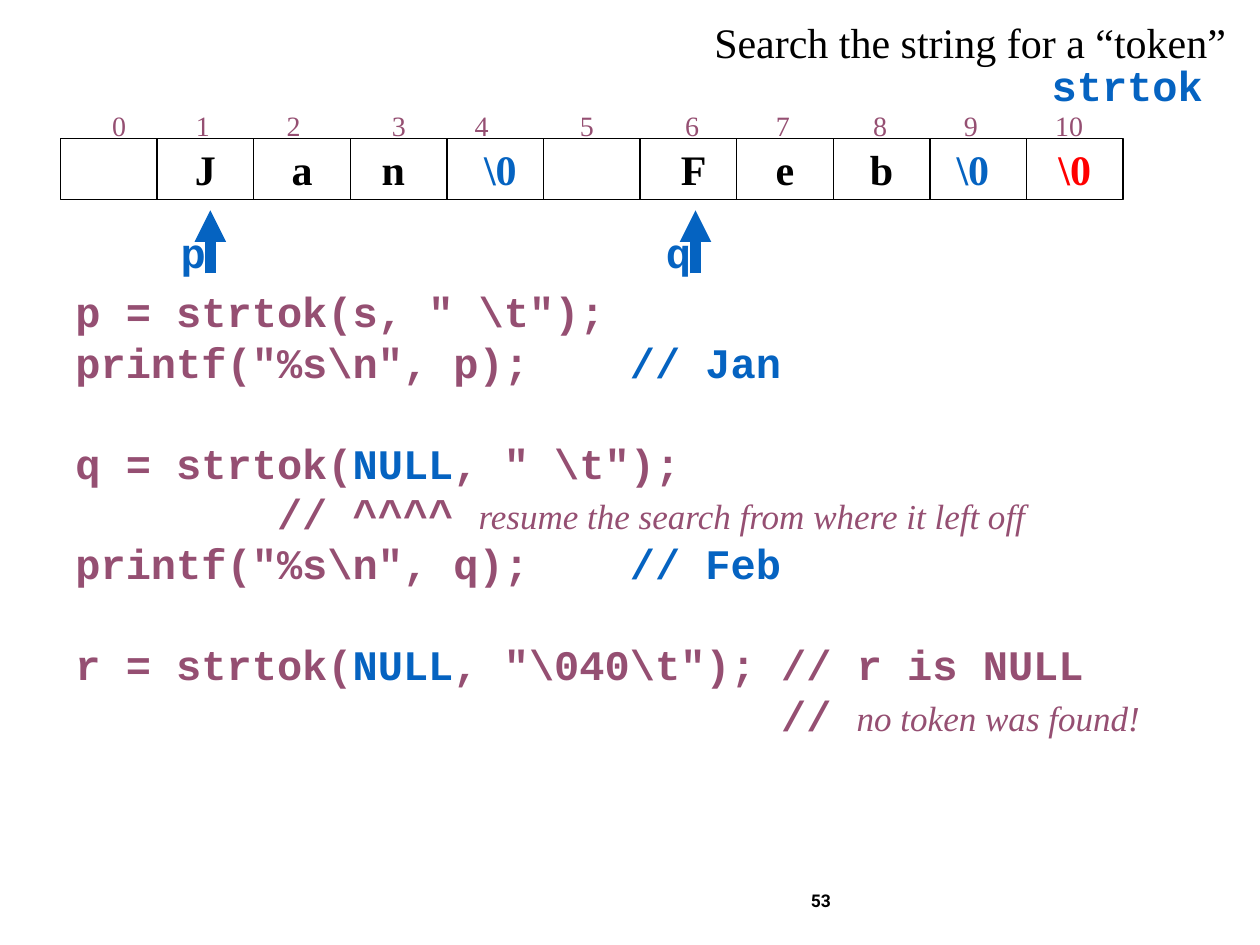
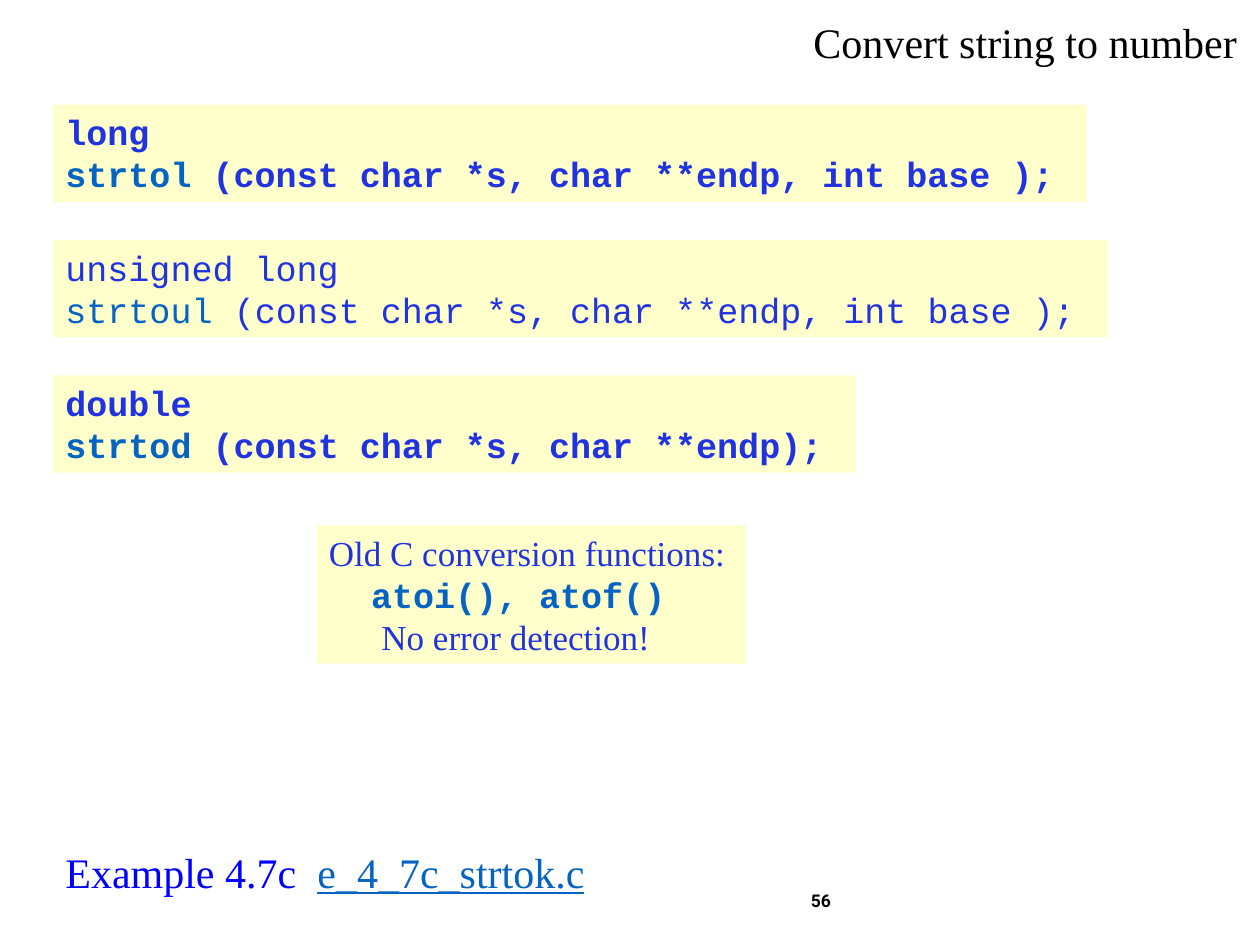
from dataclasses import dataclass, replace

from lxml.etree import SubElement
from pptx import Presentation
from pptx.dml.color import RGBColor
from pptx.enum.shapes import MSO_CONNECTOR, MSO_SHAPE
from pptx.enum.text import MSO_ANCHOR, PP_ALIGN
from pptx.oxml.ns import qn
from pptx.util import Cm, Pt

BLACK = RGBColor(0x00, 0x00, 0x00)
RED = RGBColor(0xFF, 0x00, 0x00)
BLUE = RGBColor(0x05, 0x63, 0xC1)
PURE_BLUE = RGBColor(0x00, 0x00, 0xFF)
INDIGO = RGBColor(0x21, 0x33, 0xDF)
PLUM = RGBColor(0x95, 0x4F, 0x72)
CREAM = RGBColor(0xFF, 0xFF, 0xCC)

SERIF, MONO = "Times New Roman", "Courier New"


@dataclass(frozen=True)
class Style:
    font: str
    size: int
    color: RGBColor
    bold: bool = False
    italic: bool = False
    underline: bool = False


TITLE = Style(SERIF, 24, BLACK)
PAGE_NUMBER = Style("Roboto", 10, BLACK, bold=True)
CODE = Style(MONO, 24, PLUM, bold=True)
CODE_KEY = replace(CODE, color=BLUE)
REMARK = Style(SERIF, 20, PLUM, italic=True)
INDEX = Style(SERIF, 16, PLUM)
CHAR = replace(TITLE, bold=True)
END = replace(CHAR, color=BLUE)
LAST_END = replace(CHAR, color=RED)
NOTE = Style(SERIF, 20, INDIGO)

BLANK_LINE = 28.8

CELLS = [
    [], [("J", CHAR)], [("a", CHAR)], [("n ", CHAR)],
    [(" ", CHAR), ("\\0", END)], [], [(" F", CHAR)], [("e", CHAR)],
    [("b", CHAR)], [("\\0 ", END)], [(" ", CHAR), ("\\0 ", LAST_END)],
]
INDEX_TABS = [0.79, 2.48, 4.31, 6.43, 8.1, 10.22, 12.34, 14.17, 16.13,
              17.96, 19.8]

# Each block of lines is set off from the one before by a blank line's height.
CODE_BLOCKS = [
    [
        [("p = strtok(s, \" \\t\");", CODE)],
        [("printf(\"%s\\n\", p);    ", CODE), ("// Jan", CODE_KEY)],
    ],
    [
        [("q = strtok(", CODE), ("NULL", CODE_KEY), (", \" \\t\");", CODE)],
        [("        // ^^^^ ", CODE),
         ("resume the search from where it left off", REMARK)],
        [("printf(\"%s\\n\", q);    ", CODE), ("// Feb", CODE_KEY)],
    ],
    [
        [("r = strtok(", CODE), ("NULL", CODE_KEY),
         (", \"\\040\\t\"); // r is NULL", CODE)],
        [("                            // ", CODE),
         ("no token was found!", REMARK)],
    ],
]

# Return type, function, arguments, bold, box width
PROTOTYPES = [
    ("long", "strtol", " (const char *s, char **endp, int base );", True, 20.83),
    ("unsigned long", "strtoul", " (const char *s, char **endp, int base );",
     False, 21.26),
    ("double", "strtod", " (const char *s, char **endp);", True, 16.18),
]


def add_runs(p, runs):
    for text, style in runs:
        r = p.add_run()
        r.text = text
        f = r.font
        f.name, f.size, f.color.rgb = style.font, Pt(style.size), style.color
        f.bold, f.italic, f.underline = style.bold, style.italic, style.underline


def write(sp, lines, align=PP_ALIGN.LEFT, anchor=MSO_ANCHOR.TOP, wrap=False):
    """Fill a shape with lines, each a list of (text, style) runs."""
    tf = sp.text_frame
    tf.word_wrap = wrap
    tf.vertical_anchor = anchor
    for i, runs in enumerate(lines):
        p = tf.add_paragraph() if i else tf.paragraphs[0]
        p.alignment = align
        add_runs(p, runs)
    return tf.paragraphs


def add_text(slide, box, lines, **layout):
    sp = slide.shapes.add_textbox(*map(Cm, box))
    return write(sp, lines, **layout)


def add_rect(slide, box, fill=None, line=None):
    sp = slide.shapes.add_shape(MSO_SHAPE.RECTANGLE, *map(Cm, box))
    sp.shadow.inherit = False
    if fill is None:
        sp.fill.background()
    else:
        sp.fill.solid()
        sp.fill.fore_color.rgb = fill
    if line is None:
        sp.line.fill.background()
    else:
        sp.line.color.rgb = line
        sp.line.width = Pt(0.75)
    return sp


def add_frame(prs, title, title_box, number):
    """Start a slide with its title and page number."""
    slide = prs.slides.add_slide(prs.slide_layouts[6])
    add_text(slide, title_box, [[(title, TITLE)]])
    add_text(slide, (8.41, 17.65, 8.59, 1.02), [[(number, PAGE_NUMBER)]],
             align=PP_ALIGN.RIGHT, anchor=MSO_ANCHOR.MIDDLE, wrap=True)
    return slide


def add_char_array(slide, box):
    """Draw the indexed row of characters; the indices sit above the box."""
    x, y, w, h = box
    cell_w = w / len(CELLS)
    labels = "".join(f"\t{i}" for i in range(len(CELLS)))
    p = add_text(slide, (x, y - 0.89, w, h), [[(labels, INDEX)]],
                 anchor=MSO_ANCHOR.MIDDLE, wrap=True)[0]
    tabs = SubElement(p._p.get_or_add_pPr(), qn("a:tabLst"))
    for pos in INDEX_TABS:
        SubElement(tabs, qn("a:tab"), pos=str(Cm(pos)), algn="l")
    for i, runs in enumerate(CELLS):
        sp = add_rect(slide, (x + i * cell_w, y, cell_w, h), line=BLACK)
        if runs:
            write(sp, [runs], align=PP_ALIGN.CENTER, anchor=MSO_ANCHOR.MIDDLE)


def add_pointer(slide, name, x, y, h=1.27):
    """Draw an upward arrow with its tip at (x, y) and a name beside it."""
    c = slide.shapes.add_connector(MSO_CONNECTOR.STRAIGHT,
                                   Cm(x), Cm(y + h), Cm(x), Cm(y))
    c.line.color.rgb = BLUE
    c.line.width = Pt(6)
    SubElement(c.line._get_or_add_ln(), qn("a:tailEnd"), type="triangle")
    SubElement(c._element.spPr, qn("a:effectLst"))
    add_text(slide, (x - 0.86, y + 0.21, 1.02, h), [[(name, CODE_KEY)]],
             align=PP_ALIGN.RIGHT)


def add_code(slide, box):
    lines = [line for block in CODE_BLOCKS for line in block]
    paragraphs = add_text(slide, box, lines, wrap=True)
    start = 0
    for block in CODE_BLOCKS[:-1]:
        start += len(block)
        paragraphs[start].space_before = Pt(BLANK_LINE)


def add_prototypes(slide, x, y, h=1.96, pitch=2.73):
    for i, (kind, name, args, bold, w) in enumerate(PROTOTYPES):
        plain = Style(MONO, 20, INDIGO, bold=bold)
        sp = add_rect(slide, (x, y + i * pitch, w, h), fill=CREAM)
        write(sp, [[(kind, plain)],
                   [(name, replace(plain, color=BLUE)), (args, plain)]])


def add_old_functions(slide, box):
    sp = add_rect(slide, box, fill=CREAM)
    paragraphs = write(sp, [
        [("Old C conversion functions:", NOTE)],
        [("atoi(), atof()", Style(MONO, 20, BLUE, bold=True))],
        [("No error detection!", NOTE)],
    ])
    for p, indent in zip(paragraphs, (0, 0.85, 1.06)):
        p._p.get_or_add_pPr().set("marL", str(Cm(indent)))


def build_token_slide(prs):
    slide = add_frame(prs, "Search the string for a “token”",
                      (14.15, 0.2, 11.02, 1.27), "53")
    add_text(slide, (20.95, 1.07, 3.81, 1.27), [[("strtok", CODE_KEY)]],
             wrap=True)
    add_char_array(slide, (1.22, 2.79, 21.42, 1.24))
    add_pointer(slide, "p", 4.24, 4.24)
    add_pointer(slide, "q", 14.02, 4.24)
    add_code(slide, (1.27, 5.64, 23.06, 12.27))


def build_number_slide(prs):
    slide = add_frame(prs, "Convert string to number",
                      (16.15, 0.2, 9.04, 1.27), "56")
    add_prototypes(slide, 1.07, 2.11)
    add_old_functions(slide, (6.38, 10.59, 8.66, 2.79))
    example = replace(TITLE, color=PURE_BLUE)
    link = replace(TITLE, color=BLUE, underline=True)
    add_text(slide, (1.07, 16.94, 14.4, 1.27),
             [[("Example 4.7c\t", example), ("e_4_7c_strtok.c", link)]],
             wrap=True)


def main():
    prs = Presentation()
    prs.slide_width, prs.slide_height = Cm(25.4), Cm(19.05)
    build_token_slide(prs)
    build_number_slide(prs)
    prs.save("out.pptx")


if __name__ == "__main__":
    main()
